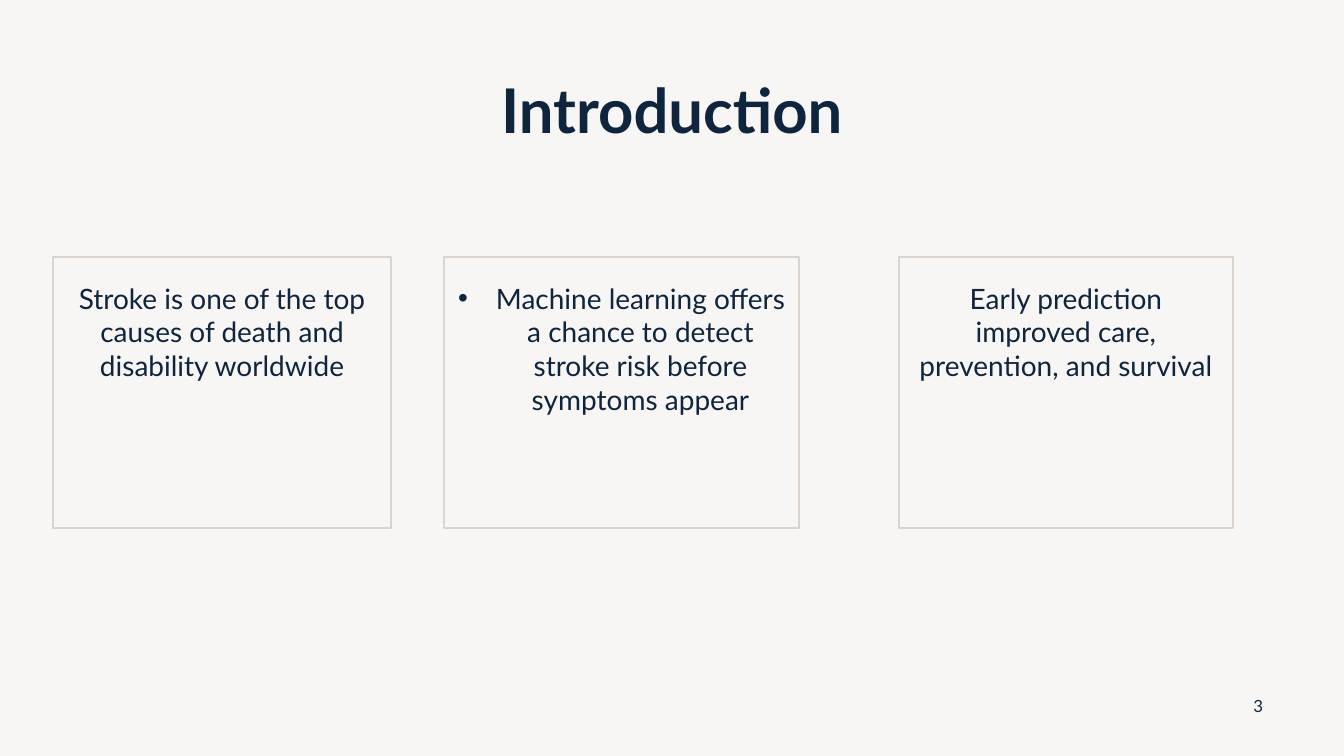
import pptx
import pptx.util
import pptx.dml.color
import pptx.enum.text
import pptx.oxml.ns
import lxml.etree

Inches = pptx.util.Inches
Pt = pptx.util.Pt
RGBColor = pptx.dml.color.RGBColor
Anchor = pptx.enum.text.MSO_ANCHOR

NAVY = RGBColor(0x0F, 0x25, 0x3E)
SAND = RGBColor(0xDC, 0xD3, 0xCC)
CREAM = RGBColor(0xF8, 0xF6, 0xF5)

# Left edge, width and text of each card
CARDS = [
    (0.53, 3.35, "Stroke is one of the top causes of death and disability worldwide"),
    (4.41, 3.52, "Machine learning offers a chance to detect stroke risk before symptoms appear"),
    (8.92, 3.32, "Early prediction improved care, prevention, and survival"),
]


def place(shape, box):
    shape.left, shape.top, shape.width, shape.height = map(Inches, box)


def write(shape, text, size, anchor, bold=False, top=0.05):
    frame = shape.text_frame
    frame.text = text
    frame.word_wrap = True
    frame.auto_size = pptx.enum.text.MSO_AUTO_SIZE.NONE
    frame.vertical_anchor = anchor
    frame.margin_left = frame.margin_right = Inches(0.1)
    frame.margin_top, frame.margin_bottom = Inches(top), Inches(0.05)
    para = frame.paragraphs[0]
    para.alignment = pptx.enum.text.PP_ALIGN.CENTER
    para.space_before = Pt(0)
    font = para.font
    font.name, font.size, font.bold = "Lato", Pt(size), bold
    font.color.rgb = NAVY
    return para


def add_title(slide, box):
    title = slide.shapes.title
    place(title, box)
    para = write(title, "Introduction", 44, Anchor.MIDDLE, bold=True)
    para.line_spacing = 0.9


def add_card(card, box, text):
    place(card, box)
    card.line.color.rgb = SAND
    card.line.width = Pt(1.5)
    # Drop the bullet and its hanging indent
    para = card.text_frame.paragraphs[0]
    props = para._p.get_or_add_pPr()
    props.set("marL", "0")
    props.set("indent", "0")
    lxml.etree.SubElement(props, pptx.oxml.ns.qn("a:buNone"))
    write(card, text, 20, Anchor.TOP, top=0.24)


def add_number(slide, box):
    number = slide.shapes.add_textbox(*map(Inches, box))
    write(number, "3", 12, Anchor.MIDDLE)


def main():
    deck = pptx.Presentation()
    deck.slide_width, deck.slide_height = Inches(13.34), Inches(7.5)
    slide = deck.slides.add_slide(deck.slide_layouts.get_by_name("Comparison"))
    slide.background.fill.solid()
    slide.background.fill.fore_color.rgb = CREAM

    # Title
    add_title(slide, (0.92, 0.4, 11.5, 1.45))

    # Row of cards in the body placeholders
    title, *bodies = slide.placeholders
    for card, (left, width, text) in zip(bodies, CARDS):
        add_card(card, (left, 2.55, width, 2.69), text)
    for spare in bodies[len(CARDS):]:
        spare.element.getparent().remove(spare.element)

    # Slide number
    add_number(slide, (12.24, 6.8, 0.5, 0.4))

    deck.save("out.pptx")


if __name__ == "__main__":
    main()
